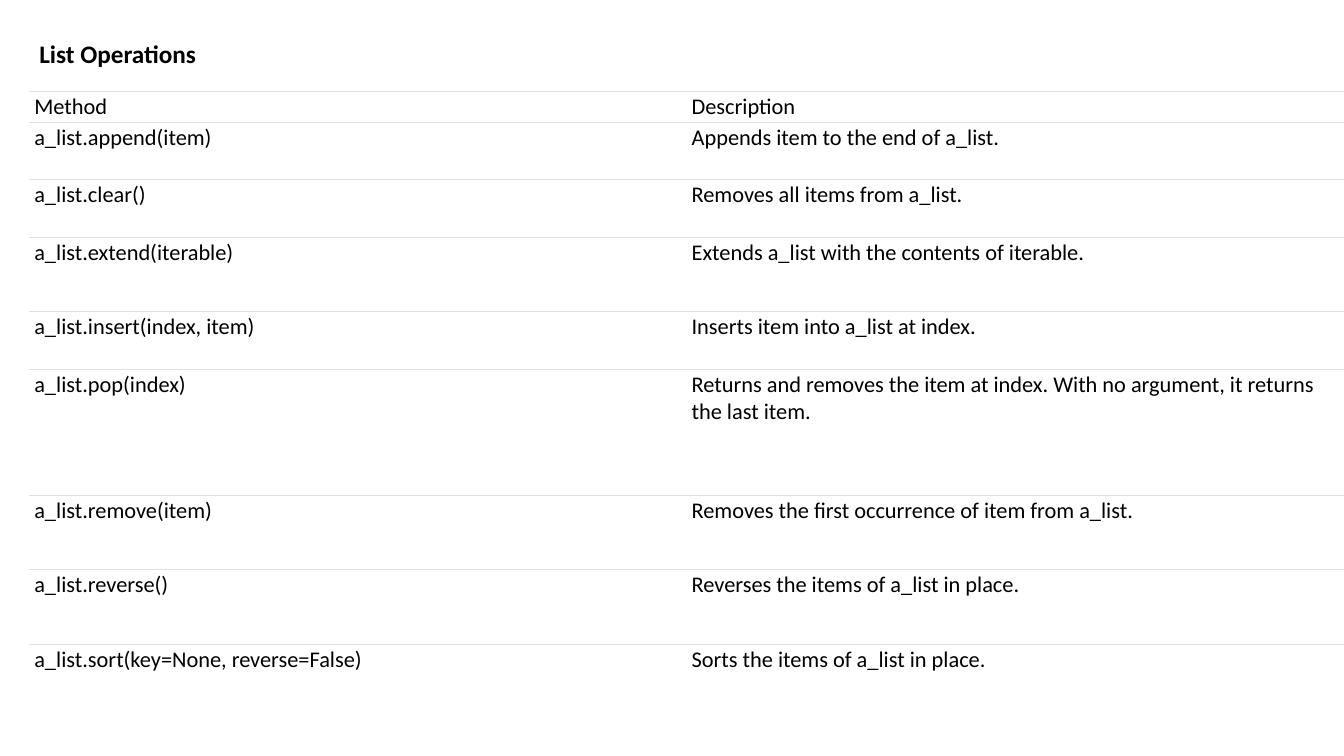
from lxml.etree import SubElement as Sub
from pptx import Presentation
from pptx.dml.color import RGBColor
from pptx.enum.text import MSO_ANCHOR as Anchor, MSO_AUTO_SIZE as Auto, PP_ALIGN as Align
from pptx.oxml.ns import qn
from pptx.util import Inches, Pt


def color(code):
    return RGBColor.from_string(code)


def write(frame, text, size, bold=False):
    para = frame.paragraphs[0]
    para.alignment = Align.LEFT
    run = para.add_run()
    run.text = text
    font = run.font
    font.name, font.size, font.bold = "Calibri", Pt(size), bold
    font.color.rgb = color("000000")


deck = Presentation()
deck.slide_width, deck.slide_height = Inches(13.33), Inches(7.5)
slide = deck.slides.add_slide(deck.slide_layouts[5])

# Title
title = slide.shapes.title
title.left, title.top = Inches(0.29), Inches(0.33)
title.width, title.height = Inches(4.45), Inches(0.4)
frame = title.text_frame
frame.auto_size = Auto.NONE
frame.word_wrap = True
write(frame, "List Operations", 18, True)

# Row height, method, description
rows = [
    (0.28, "Method", "Description"),
    (0.57, "a_list.append(item)", "Appends item to the end of a_list."),
    (0.57, "a_list.clear()", "Removes all items from a_list."),
    (0.74, "a_list.extend(iterable)", "Extends a_list with the contents of iterable."),
    (0.57, "a_list.insert(index, item)", "Inserts item into a_list at index."),
    (1.25, "a_list.pop(index)",
     "Returns and removes the item at index. With no argument, it returns the last item."),
    (0.74, "a_list.remove(item)", "Removes the first occurrence of item from a_list."),
    (0.74, "a_list.reverse()", "Reverses the items of a_list in place."),
    (0.57, "a_list.sort(key=None, reverse=False)", "Sorts the items of a_list in place."),
]
last = len(rows) - 1

# Table
table = slide.shapes.add_table(
    len(rows), 2, Inches(0.29), Inches(0.9), Inches(13.04), Inches(6.03)).table
table.first_row = table.horz_banding = False
for col in table.columns:
    col.width = Inches(6.52)

for r, (height, *texts) in enumerate(rows):
    table.rows[r].height = Inches(height)
    for c, text in enumerate(texts):
        cell = table.cell(r, c)
        cell.margin_left = cell.margin_right = Inches(0.05)
        cell.margin_top = cell.margin_bottom = Inches(0.02)
        cell.vertical_anchor = Anchor.TOP if r else Anchor.BOTTOM
        write(cell.text_frame, text, 16)

        # Thin rules between rows, none under the last
        props = cell._tc.get_or_add_tcPr()
        for side in ("L", "R", "T", "B"):
            line = Sub(props, qn("a:ln" + side), w=str(Pt(0.38)))
            if side == "T" or side == "B" and r < last:
                fill = Sub(line, qn("a:solidFill"))
                Sub(fill, qn("a:srgbClr"), val="DEE2E6")
            else:
                Sub(line, qn("a:noFill"))
        cell.fill.solid()
        cell.fill.fore_color.rgb = color("FFFFFF")

deck.save("out.pptx")
